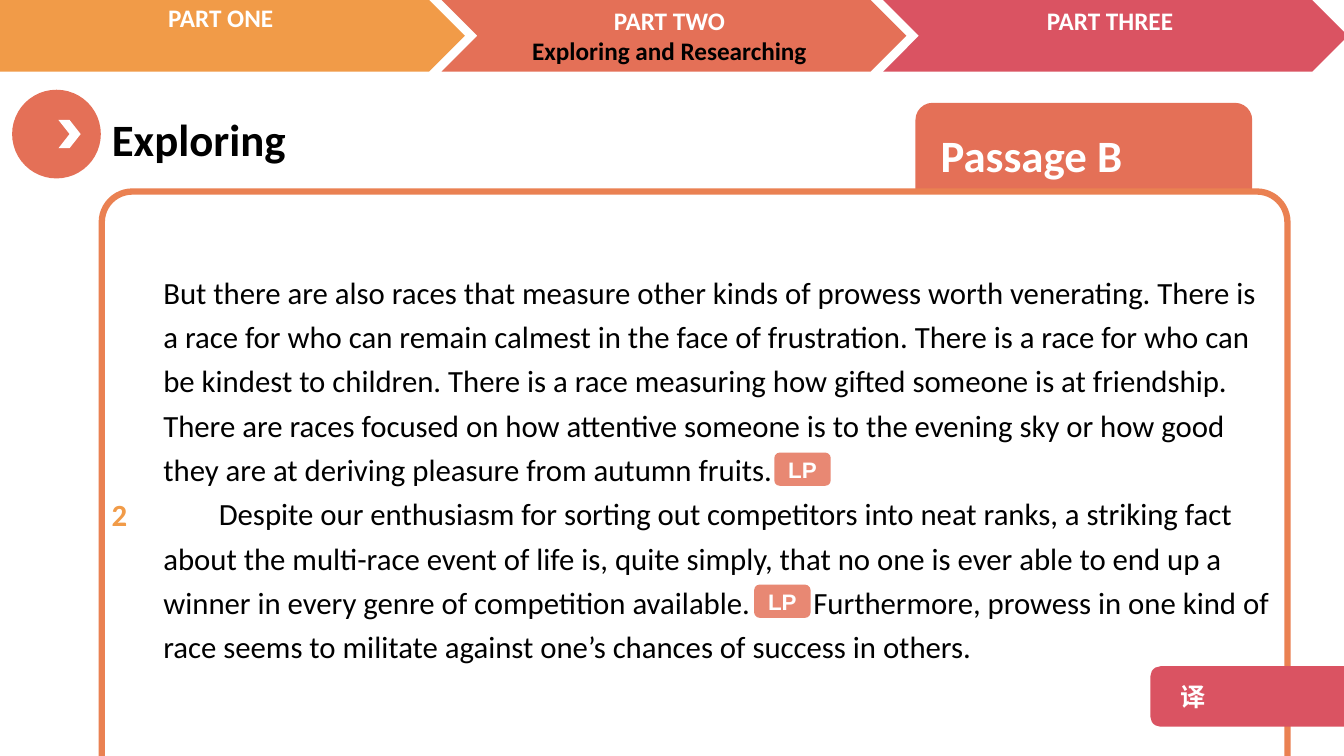
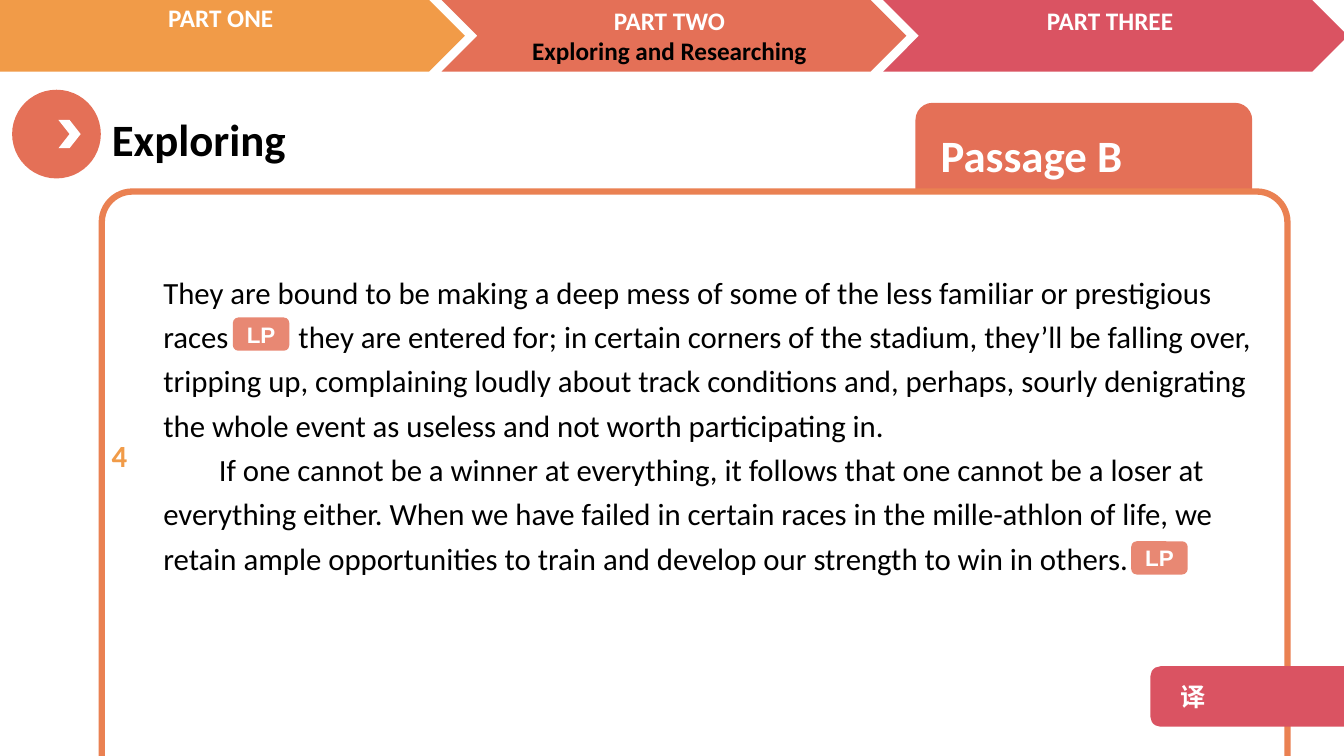
from lxml import etree
from pptx import Presentation
from pptx.dml.color import RGBColor
from pptx.enum.shapes import MSO_SHAPE
from pptx.enum.text import MSO_ANCHOR, MSO_AUTO_SIZE, PP_ALIGN
from pptx.oxml.ns import qn
from pptx.util import Inches, Pt

ROUND, CHEVRON, OVAL = MSO_SHAPE.ROUNDED_RECTANGLE, MSO_SHAPE.CHEVRON, MSO_SHAPE.OVAL
LEFT, CENTER = PP_ALIGN.LEFT, PP_ALIGN.CENTER
TOP, NO_FIT = MSO_ANCHOR.TOP, MSO_AUTO_SIZE.NONE

ORANGE = RGBColor(0xF1, 0x9B, 0x48)
CORAL = RGBColor(0xE4, 0x70, 0x57)
ROSE = RGBColor(0xDA, 0x53, 0x62)
FRAME = RGBColor(0xEA, 0x81, 0x52)
WHITE = RGBColor(0xFF, 0xFF, 0xFF)
BLACK = RGBColor(0, 0, 0)

# Grid: three band columns, a left edge for the page, a text edge for the passage
COL, BAND_H = 4.38, 0.71
EDGE, TEXT_X = 1.01, 1.52
PAGE_W = 11.76

# Each band: left, width, colour, label lines, label left and top
BANDS = [
    (COL, 4.61, CORAL, ["PART TWO", "Exploring and Researching"], 4.36, 0),
    (2 * COL, 4.61, ROSE, ["PART THREE"], 8.73, 0),
    (-0.61, 5.22, ORANGE, ["PART ONE"], -0.09, -0.03),
]

# Each passage: two paragraphs, where a tab holds room for a mark, the width of
# that room in points, the number and its top, the places of the LP marks
PASSAGES = [
    {
        "text": [
            "But there are also races that measure other kinds of prowess worth "
            "venerating. There is a race for who can remain calmest in the face of "
            "frustration. There is a race for who can be kindest to children. There "
            "is a race measuring how gifted someone is at friendship. There are races "
            "focused on how attentive someone is to the evening sky or how good they "
            "are at deriving pleasure from autumn fruits.",
            "Despite our enthusiasm for sorting out competitors into neat ranks, a "
            "striking fact about the multi-race event of life is, quite simply, that "
            "no one is ever able to end up a winner in every genre of competition "
            "available.\tFurthermore, prowess in one kind of race seems to militate "
            "against one’s chances of success in others.",
        ],
        "room": 40,
        "number": ("2", 4.8),
        "marks": [(7.68, 4.49), (7.48, 5.8)],
    },
    {
        "text": [
            "They are bound to be making a deep mess of some of the less familiar or "
            "prestigious races\tthey are entered for; in certain corners of the "
            "stadium, they’ll be falling over, tripping up, complaining loudly about "
            "track conditions and, perhaps, sourly denigrating the whole event as "
            "useless and not worth participating in.",
            "If one cannot be a winner at everything, it follows that one cannot be a "
            "loser at everything either. When we have failed in certain races in the "
            "mille-athlon of life, we retain ample opportunities to train and develop "
            "our strength to win in others.",
        ],
        "room": 45,
        "number": ("4", 4.21),
        "marks": [(2.31, 3.15), (11.22, 5.37)],
    },
]


def add_block(slide, kind, x, y, w, h, fill):
    sp = slide.shapes.add_shape(kind, Inches(x), Inches(y), Inches(w), Inches(h))
    sp.shadow.inherit = False
    sp.fill.solid()
    sp.fill.fore_color.rgb = fill
    sp.line.fill.background()
    return sp


def set_text(sp, lines, size, color, bold=True, align=LEFT, font="Calibri", room=0):
    tf = sp.text_frame
    tf.word_wrap = True
    tf.auto_size = NO_FIT
    for i, line in enumerate(lines):
        p = tf.add_paragraph() if i else tf.paragraphs[0]
        p.alignment = align
        # A tab becomes one space, widened by its letter spacing
        for piece in filter(None, line.partition("\t")):
            r = p.add_run()
            r.text = piece.replace("\t", " ")
            r.font.name, r.font.size, r.font.bold = font, Pt(size), bold
            r.font.color.rgb = color
            if piece == "\t":
                r.font._element.set("spc", str(room * 100))
    return tf


prs = Presentation()
prs.slide_width, prs.slide_height = Inches(13.33), Inches(7.5)

for passage in PASSAGES:
    slide = prs.slides.add_slide(prs.slide_layouts[1])
    title, body = slide.placeholders

    # Passage tab, tucked behind the frame
    sp = add_block(slide, ROUND, 9.08, 1.02, 3.34, 1.02, CORAL)
    tf = set_text(sp, ["Passage B"], 32, WHITE)
    tf.margin_left = Inches(0.2)

    # Navigation bands and their labels
    for x, w, color, lines, label_x, label_y in BANDS:
        add_block(slide, CHEVRON, x, 0, w, BAND_H, color)
        sp = slide.shapes.add_textbox(Inches(label_x), Inches(label_y),
                                      Inches(4.56), Inches(BAND_H))
        tf = set_text(sp, lines, 18, WHITE, align=CENTER)
        for p in tf.paragraphs[1:]:
            p.runs[0].font.color.rgb = BLACK

    # Title with its round marker
    add_block(slide, OVAL, 0.12, 0.89, 0.88, 0.88, CORAL)
    add_block(slide, CHEVRON, 0.58, 1.19, 0.22, 0.28, WHITE)
    title.left, title.top = Inches(EDGE), Inches(1.06)
    title.width, title.height = Inches(4.85), Inches(0.64)
    tf = set_text(title, ["Exploring"], 32, BLACK)
    tf.vertical_anchor = TOP

    # Page frame, running off the bottom
    sp = add_block(slide, ROUND, EDGE, 1.9, PAGE_W, 6.45, WHITE)
    sp.adjustments[0] = 0.047
    sp.line.color.rgb = FRAME
    sp.line.width = Pt(4.5)

    # Passage text, brought in front of the frame
    slide.shapes.element.append(body.element)
    body.left, body.top = Inches(TEXT_X), Inches(2.59)
    body.width, body.height = Inches(EDGE + PAGE_W - TEXT_X), Inches(4.07)
    tf = set_text(body, passage["text"], 22, BLACK, bold=False, room=passage["room"])
    tf.vertical_anchor = TOP
    for p, indent in zip(tf.paragraphs, (0, 0.55)):
        pPr = p._p.get_or_add_pPr()
        pPr.set("marL", "0")
        pPr.set("indent", str(Inches(indent)))
        etree.SubElement(pPr, qn("a:buNone"))
        p.line_spacing = 1.2
        p.space_before = Pt(0)

    # Paragraph number in the margin
    number, top = passage["number"]
    sp = slide.shapes.add_textbox(Inches(EDGE), Inches(top), Inches(0.51), Inches(0.54))
    tf = set_text(sp, [number], 22, ORANGE)
    tf.paragraphs[0].line_spacing = 1.2

    # Translation button at the right edge
    sp = add_block(slide, ROUND, 11.41, 6.61, 2.13, 0.6, ROSE)
    tf = set_text(sp, ["译"], 18, WHITE, font="Noto Sans CJK SC")
    tf.margin_left = Inches(0.27)
    rPr = tf.paragraphs[0].runs[0]._r.get_or_add_rPr()
    etree.SubElement(rPr, qn("a:ea"), typeface="Noto Sans CJK SC")

    # Language point marks
    for x, y in passage["marks"]:
        sp = add_block(slide, ROUND, x, y, 0.56, 0.33, CORAL)
        clr = sp.fill._xPr.find(qn("a:solidFill"))[0]
        etree.SubElement(clr, qn("a:alpha"), val="83000")
        set_text(sp, ["LP"], 16, WHITE, align=CENTER, font="Arial")

prs.save("out.pptx")
